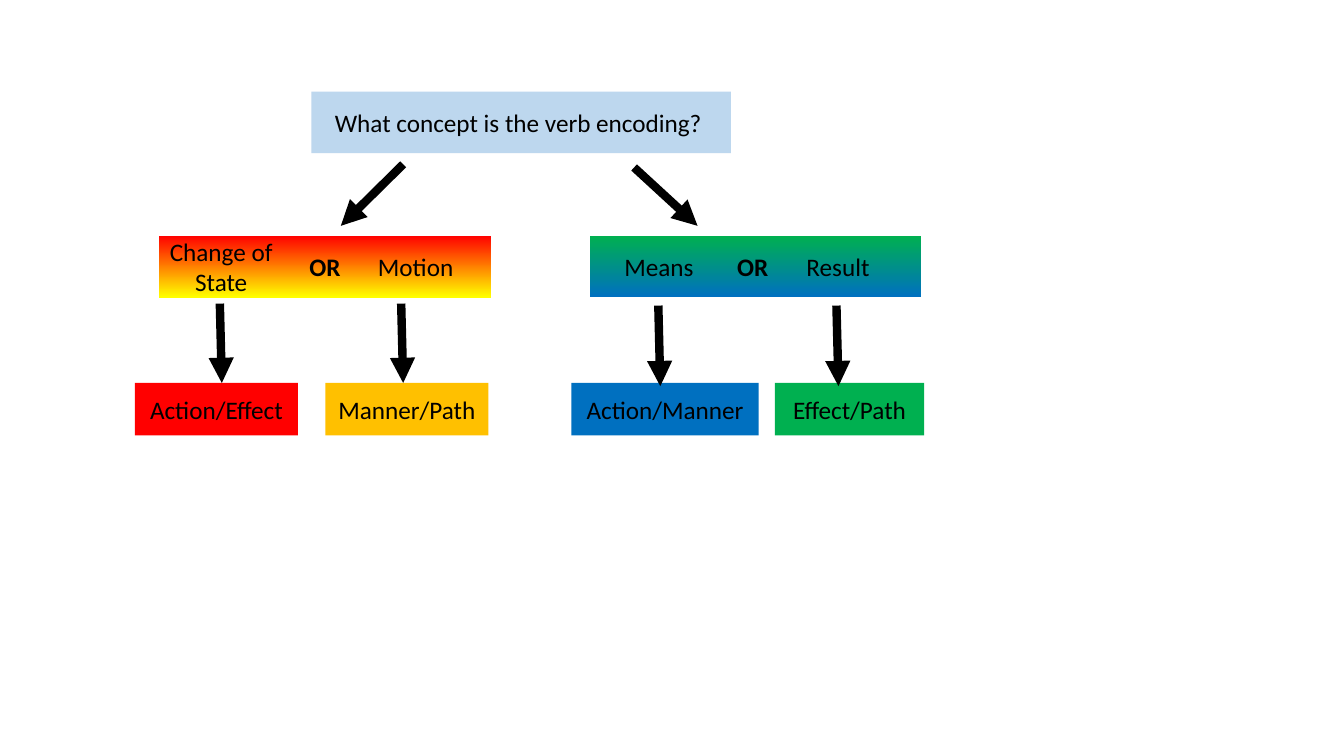
from dataclasses import dataclass

from lxml.etree import SubElement
from pptx import Presentation
from pptx.dml.color import RGBColor
from pptx.enum.shapes import MSO_CONNECTOR, MSO_SHAPE
from pptx.enum.text import MSO_ANCHOR, PP_ALIGN
from pptx.oxml.ns import qn
from pptx.util import Cm, Pt


@dataclass(frozen=True)
class Theme:
    font: str = "Calibri"
    text_size: float = 18
    arrow_width: float = 6
    black: str = "000000"
    pale_blue: str = "BDD7EE"
    red: str = "FF0000"
    amber: str = "FFC000"
    yellow: str = "FFFF00"
    blue: str = "0070C0"
    green: str = "00B050"


THEME = Theme()

# Rows of the tree: top and height in cm
QUESTION_ROW = (2.31, 1.55)
CHOICE_ROW = (5.94, 1.55)
ANSWER_ROW = (9.65, 1.32)
CHOICE_WIDTH = 8.36


def rgb(code):
    return RGBColor.from_string(code)


def write_text(shape, text, *, bold=False, color=THEME.black, size=THEME.text_size):
    frame = shape.text_frame
    frame.word_wrap = True
    frame.vertical_anchor = MSO_ANCHOR.MIDDLE
    paragraph = frame.paragraphs[0]
    paragraph.alignment = PP_ALIGN.CENTER
    run = paragraph.add_run()
    run.text = text
    run.font.name = THEME.font
    run.font.size = Pt(size)
    run.font.bold = bold
    run.font.color.rgb = rgb(color)


def add_box(slide, text, left, width, row, colors, **text_format):
    """Add a borderless box: one colour fills it, two run from top to bottom."""
    top, height = row
    box = slide.shapes.add_shape(
        MSO_SHAPE.RECTANGLE, Cm(left), Cm(top), Cm(width), Cm(height))
    box.shadow.inherit = False
    box.line.fill.background()
    if len(colors) == 1:
        box.fill.solid()
        box.fill.fore_color.rgb = rgb(colors[0])
    else:
        box.fill.gradient()
        box.fill.gradient_angle = 270
        for stop, color in zip(box.fill.gradient_stops, colors):
            stop.color.rgb = rgb(color)
    write_text(box, text, **text_format)


def add_option(slide, text, left, width):
    top, height = CHOICE_ROW
    option = slide.shapes.add_textbox(Cm(left), Cm(top), Cm(width), Cm(height))
    write_text(option, text)


def add_arrow(slide, start, end):
    arrow = slide.shapes.add_connector(
        MSO_CONNECTOR.STRAIGHT, *(Cm(value) for value in (*start, *end)))
    arrow.line.color.rgb = rgb(THEME.black)
    arrow.line.width = Pt(THEME.arrow_width)
    SubElement(arrow.line._get_or_add_ln(), qn("a:tailEnd"), type="triangle")
    SubElement(arrow._element.spPr, qn("a:effectLst"))


def main():
    deck = Presentation()
    deck.slide_width, deck.slide_height = Cm(33.87), Cm(19.05)
    slide = deck.slides.add_slide(deck.slide_layouts[6])

    # Question at the root
    add_box(slide, "What concept is the verb encoding? ", 7.85, 10.57,
            QUESTION_ROW, [THEME.pale_blue])

    # Either-or choices
    for text, left, colors in (
        ("OR", 4.01, (THEME.red, THEME.yellow)),
        ("OR ", 14.86, (THEME.green, THEME.blue)),
    ):
        add_box(slide, text, left, CHOICE_WIDTH, CHOICE_ROW, colors, bold=True)

    for text, left, width in (
        ("Change of State", 3.96, 3.23),
        ("Motion", 8.86, 3.23),
        ("Means", 14.99, 3.23),
        ("Result", 19.56, 3.12),
    ):
        add_option(slide, text, left, width)

    # Answers at the leaves
    for text, left, width, color in (
        ("Action/Effect", 3.4, 4.11, THEME.red),
        ("Manner/Path", 8.2, 4.11, THEME.amber),
        ("Action/Manner", 14.4, 4.72, THEME.blue),
        ("Effect/Path", 19.53, 3.76, THEME.green),
    ):
        add_box(slide, text, left, width, ANSWER_ROW, [color])

    # Arrows from the question to the choices
    add_arrow(slide, (10.16, 4.14), (8.59, 5.69))
    add_arrow(slide, (15.98, 4.22), (17.58, 5.69))

    # Arrows from the options to the answers
    for x, top, bottom in (
        (5.54, 7.65, 9.65),
        (10.11, 7.65, 9.65),
        (16.59, 7.7, 9.73),
        (21.08, 7.7, 9.73),
    ):
        add_arrow(slide, (x, top), (x + 0.05, bottom))

    deck.save("out.pptx")


if __name__ == "__main__":
    main()
